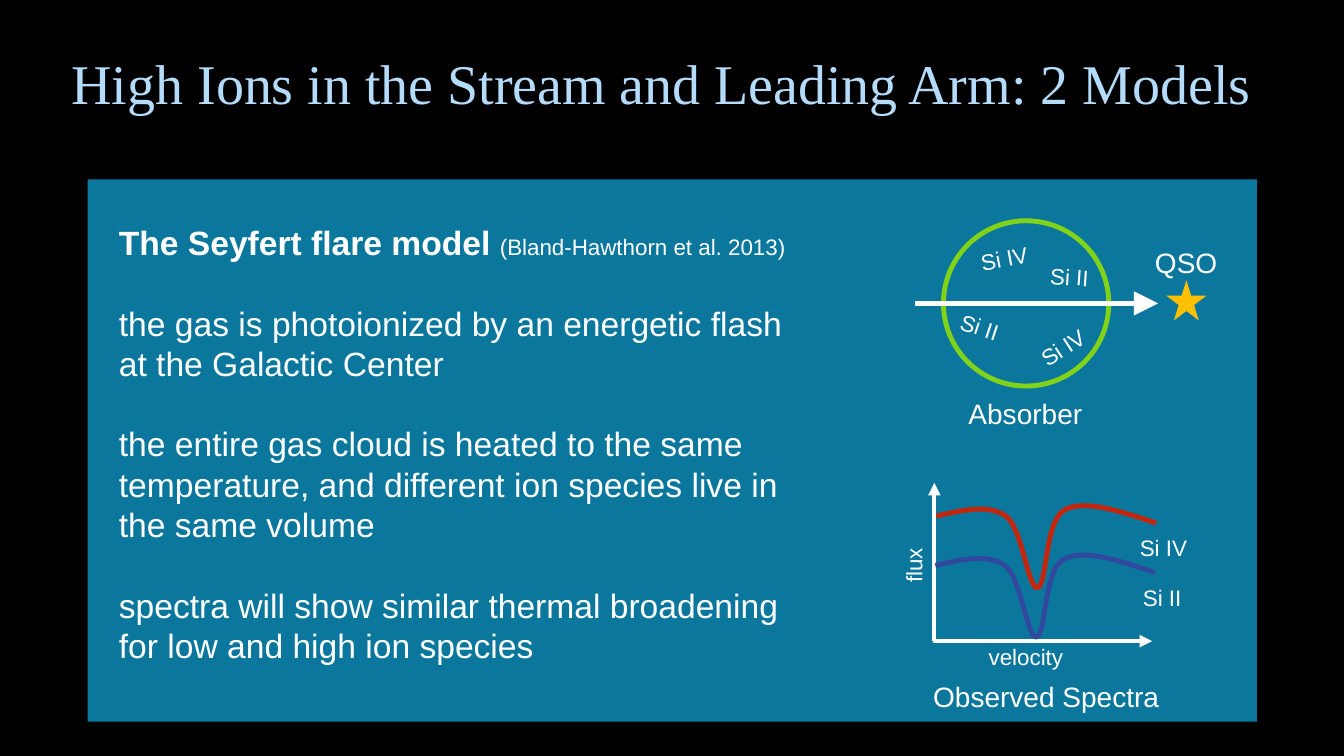
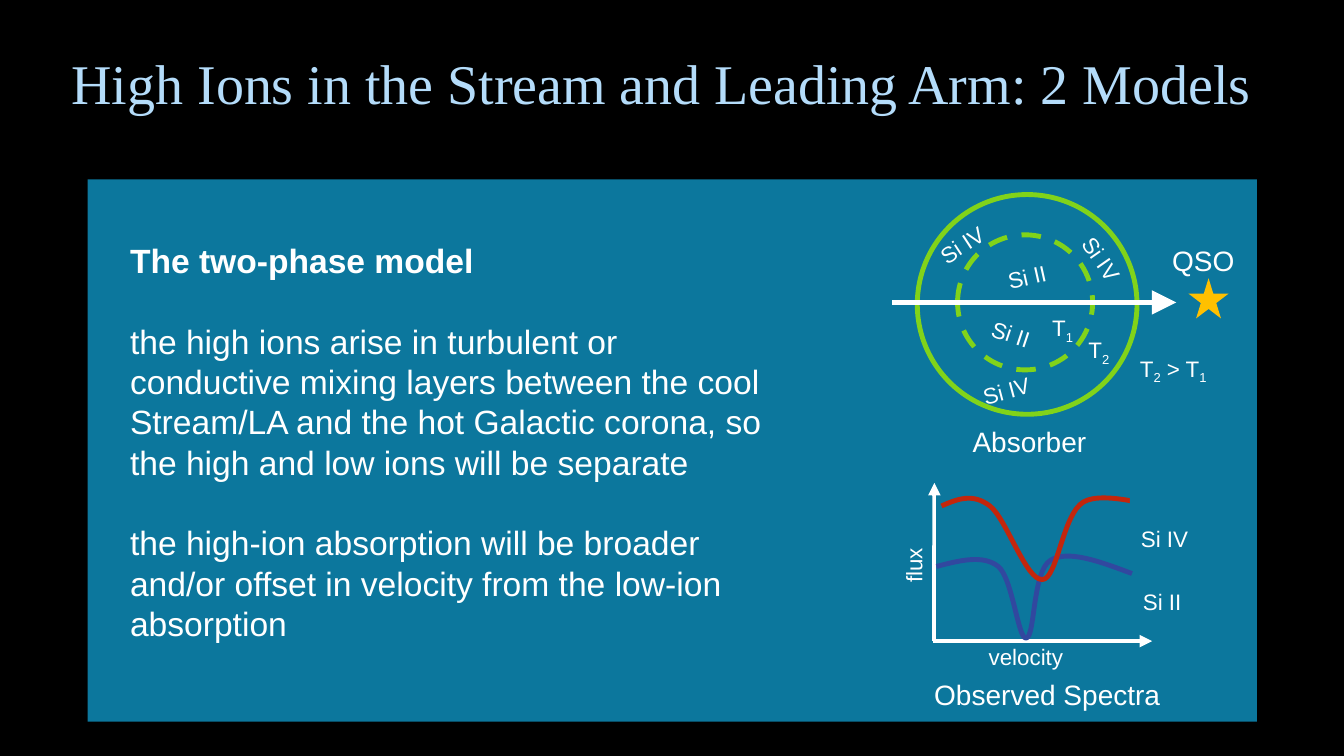
from itertools import groupby

from lxml import etree
from pptx import Presentation
from pptx.dml.color import RGBColor
from pptx.enum.dml import MSO_LINE
from pptx.enum.shapes import MSO_CONNECTOR, MSO_SHAPE
from pptx.enum.text import MSO_ANCHOR, MSO_AUTO_SIZE, PP_ALIGN
from pptx.oxml.ns import qn
from pptx.util import Inches, Pt

RECTANGLE, ELLIPSE, STAR = MSO_SHAPE.RECTANGLE, MSO_SHAPE.OVAL, MSO_SHAPE.STAR_5_POINT
STRAIGHT = MSO_CONNECTOR.STRAIGHT
DASH = MSO_LINE.DASH
TOP, MIDDLE = MSO_ANCHOR.TOP, MSO_ANCHOR.MIDDLE
LEFT = PP_ALIGN.LEFT
NO_AUTOFIT, FIT_SHAPE = MSO_AUTO_SIZE.NONE, MSO_AUTO_SIZE.SHAPE_TO_FIT_TEXT

BLACK = RGBColor(0x00, 0x00, 0x00)
WHITE = RGBColor(0xFF, 0xFF, 0xFF)
PANEL_BLUE = RGBColor(0x0C, 0x77, 0x9D)
TITLE_BLUE = RGBColor(0xB4, 0xDC, 0xFA)
GREEN = RGBColor(0x81, 0xD3, 0x1A)
GOLD = RGBColor(0xFF, 0xC0, 0x00)
LOW_ION_BLUE = RGBColor(0x31, 0x48, 0x9F)
HIGH_ION_RED = RGBColor(0xC3, 0x26, 0x0C)

presentation = Presentation()
presentation.slide_height = Inches(7.5)
presentation.slide_width = presentation.slide_height * 16 // 9
# All lengths below are grid steps: the slide is 75 rows high.
STEP = presentation.slide_height / 75

TITLE = "High Ions in the Stream and Leading Arm: 2 Models"
TITLE_BOX = (6.1, 5, 121.1, 8.1)
PANEL_BOX = (8.7, 17.8, 116, 53.8)
STAR_SIZE = 4
CURVE_WIDTH = Pt(3.5)
AXIS_WIDTH = Pt(3)
BODY_LINE = Pt(28.8)

LABEL_WIDTHS = {
    "Absorber": 13.4, "QSO": 8.2, "Observed Spectra": 24.6, "velocity": 10,
    "flux": 5.9, "Si II": 5.9, "Si IV": 6.8, "T1": 4.2, "T2": 4.2, "T2 > T1": 8.9,
}
LABEL_HEIGHTS = {16: 3.7, 20: 4.4}

# Bézier control points, relative to the start of each curve
NARROW_DIP = [
    (0, 0), (2.6, -0.6), (5.2, -1.2), (6.9, 0), (8.5, 1.2), (9.1, 7.2), (10, 7.1),
    (11, 7.1), (10.7, 0.5), (12.7, -0.6), (14.6, -1.7), (18.2, -0.5), (21.8, 0.7),
]
WIDE_DIP = [
    (0, 0), (1.6, -0.7), (3.1, -1.3), (4.8, 0), (6.4, 1.2), (8.4, 7.4), (10, 7.3),
    (11.5, 7.3), (12, 0.8), (14.1, -0.4), (16.1, -1.6), (22.1, 0.3), (22.1, 0.3),
]

AXES = [(92.7, 63.6, 92.7, 47.9), (92.6, 63.6, 114.3, 63.6)]
AXIS_LABELS = [("velocity", 97.1, 63.3, 16, 0), ("flux", 87.7, 54, 16, 270)]

MODELS = [
    {
        "heading": "The Seyfert flare model ",
        "citation": "(Bland-Hawthorn et al. 2013)",
        "points": [
            "the gas is photoionized by an energetic flash at the Galactic Center",
            "the entire gas cloud is heated to the same temperature, "
            "and different ion species live in the same volume",
            "spectra will show similar thermal broadening for low and high ion species",
        ],
        "body_box": (10.8, 21.5, 71.3, 45.4),
        "circles": [(93.6, 21.9, 16.4, None)],
        "sightline": (90.8, 30.1, 114.9, 30.1),
        "star": (115.7, 27.8),
        "curves": [(92.8, 56.1, 1, NARROW_DIP, LOW_ION_BLUE),
                   (92.9, 51.2, 1, NARROW_DIP, HIGH_ION_RED)],
        "plot_edges": [],
        "labels": [
            ("Absorber", 95.1, 38.8, 20, 0),
            ("Si II", 94.3, 30.6, 16, 18.4),
            ("Si IV", 102.1, 32.6, 16, 326.9),
            ("QSO", 113.6, 23.9, 20, 0),
            ("Si II", 103.2, 25.6, 16, 3.8),
            ("Si IV", 96.3, 23.8, 16, 349),
            ("Observed Spectra", 91.6, 66.9, 20, 0),
            ("Si II", 112.4, 57.5, 16, 0),
            ("Si IV", 112.1, 52.5, 16, 0),
        ],
    },
    {
        "heading": "The two-phase model",
        "citation": "",
        "points": [
            "the high ions arise in turbulent or conductive mixing layers between the cool "
            "Stream/LA and the hot Galactic corona, so the high and low ions will be separate",
            "the high-ion absorption will be broader and/or offset in velocity "
            "from the low-ion absorption",
        ],
        "body_box": (11.9, 23.3, 65.7, 41.4),
        "circles": [(95, 23.3, 13.4, DASH), (91, 19.3, 21.8, None)],
        "sightline": (88.5, 30, 116.7, 30),
        "star": (117.9, 27.6),
        "curves": [(92.9, 56.2, 0.89, NARROW_DIP, LOW_ION_BLUE),
                   (93.4, 50.2, 1, WIDE_DIP, HIGH_ION_RED)],
        "plot_edges": [(112.1, 46.5, 5.7, 4.9), (89.9, 49.2, 2.6, 4.9)],
        "labels": [
            ("Absorber", 95.5, 41.6, 20, 0),
            ("Si II", 97.4, 31.3, 16, 18.4),
            ("Si IV", 96.5, 36.9, 16, 345.1),
            ("QSO", 115.3, 23.7, 20, 0),
            ("Si II", 99, 25.6, 16, 347.3),
            ("Si IV", 92.1, 22.4, 16, 326.7),
            ("Si IV", 105.9, 23.9, 16, 55),
            ("T1", 103.4, 30.7, 16, 0),
            ("T2", 107, 32.9, 16, 0),
            ("T2 > T1", 112.1, 34.7, 16, 0),
            ("Observed Spectra", 91.7, 66.7, 20, 0),
            ("Si II", 112.4, 57.9, 16, 0),
            ("Si IV", 112.2, 51.6, 16, 0),
        ],
    },
]


def add_run(paragraph, text, size, color=WHITE, name="Arial", bold=False):
    run = paragraph.add_run()
    run.text = text
    for attribute, value in {"size": Pt(size), "name": name, "bold": bold}.items():
        setattr(run.font, attribute, value)
    run.font.color.rgb = color
    return run


def add_shape(slide, kind, box, fill=None, dash=None):
    """Add a filled shape without outline, or a green outline without fill."""
    shape = slide.shapes.add_shape(kind, *[round(length * STEP) for length in box])
    shape.shadow.inherit = False
    if fill:
        shape.fill.solid()
        shape.fill.fore_color.rgb = fill
        shape.line.fill.background()
    else:
        shape.fill.background()
        shape.line.color.rgb = GREEN
        shape.line.width = CURVE_WIDTH
        shape.line.dash_style = dash
    return shape


background = presentation.slide_master.background.fill
background.solid()
background.fore_color.rgb = BLACK

layout = presentation.slide_layouts[1]
layout_title = layout.placeholders[0]
for side, length in zip(("left", "top", "width", "height"), TITLE_BOX):
    setattr(layout_title, side, round(length * STEP))

for model in MODELS:
    slide = presentation.slides.add_slide(layout)
    panel = add_shape(slide, RECTANGLE, PANEL_BOX, PANEL_BLUE)
    slide.shapes._spTree.insert(2, panel._element)

    # Title
    title_frame = slide.shapes.title.text_frame
    title_frame.vertical_anchor = MIDDLE
    title_frame.margin_bottom = Inches(0.15)
    title_frame.auto_size = NO_AUTOFIT
    paragraph = title_frame.paragraphs[0]
    paragraph.alignment = LEFT
    paragraph.line_spacing = 0.9
    add_run(paragraph, TITLE, 40, TITLE_BLUE, "Times New Roman")

    # Description of the model
    body = slide.placeholders[1]
    for side, length in zip(("left", "top", "width", "height"), model["body_box"]):
        setattr(body, side, round(length * STEP))
    body_frame = body.text_frame
    body_frame.vertical_anchor = TOP
    body_frame.auto_size = NO_AUTOFIT
    for index, text in enumerate([model["heading"], *model["points"]]):
        paragraph = body_frame.add_paragraph() if index else body_frame.paragraphs[0]
        properties = paragraph._p.get_or_add_pPr()
        properties.set("marL", "0")
        properties.set("indent", "0")
        etree.SubElement(properties, qn("a:buNone"))
        paragraph.alignment = LEFT
        paragraph.line_spacing = BODY_LINE
        paragraph.space_before = BODY_LINE if index else 0
        add_run(paragraph, text, 24, bold=index == 0)
    if model["citation"]:
        add_run(body_frame.paragraphs[0], model["citation"], 16)

    # Absorber and quasar
    for left, top, size, dash in model["circles"]:
        add_shape(slide, ELLIPSE, (left, top, size, size), dash=dash)
    add_shape(slide, STAR, (*model["star"], STAR_SIZE, STAR_SIZE), GOLD)

    # Sightline and axes
    arrows = [(model["sightline"], CURVE_WIDTH, "lg")]
    arrows += [(axis, AXIS_WIDTH, "med") for axis in AXES]
    for ends, width, head_size in arrows:
        arrow = slide.shapes.add_connector(STRAIGHT, *[round(length * STEP) for length in ends])
        arrow.line.color.rgb = WHITE
        arrow.line.width = width
        arrow_properties = arrow._element.spPr
        etree.SubElement(arrow_properties.find(qn("a:ln")), qn("a:tailEnd"),
                         type="triangle", w=head_size, len=head_size)
        etree.SubElement(arrow_properties, qn("a:effectLst"))

    # Absorption profiles: every three segments become one Bézier curve
    for left, top, stretch, controls, color in model["curves"]:
        points = [(round((left + x * stretch) * STEP), round((top + y) * STEP))
                  for x, y in controls]
        builder = slide.shapes.build_freeform(*points[0])
        builder.add_line_segments(points[1:], close=False)
        curve = builder.convert_to_shape()
        segments = list(curve._element.iter(qn("a:lnTo")))
        outline = segments[0].getparent()
        for first in range(0, len(segments), 3):
            bezier = etree.SubElement(outline, qn("a:cubicBezTo"))
            for segment in segments[first:first + 3]:
                bezier.append(segment[0])
                outline.remove(segment)
        curve.shadow.inherit = False
        curve.fill.background()
        curve.line.color.rgb = color
        curve.line.width = CURVE_WIDTH

    for box in model["plot_edges"]:
        add_shape(slide, RECTANGLE, box, PANEL_BLUE)

    # Labels; their digits are subscripts
    for text, left, top, size, rotation in model["labels"] + AXIS_LABELS:
        box = (left, top, LABEL_WIDTHS[text], LABEL_HEIGHTS[size])
        label = slide.shapes.add_textbox(*[round(length * STEP) for length in box])
        label.rotation = rotation
        label.text_frame.word_wrap = False
        label.text_frame.auto_size = FIT_SHAPE
        paragraph = label.text_frame.paragraphs[0]
        paragraph.alignment = LEFT
        for is_subscript, characters in groupby(text, str.isdigit):
            run = add_run(paragraph, "".join(characters), size)
            if is_subscript:
                run._r.get_or_add_rPr().set("baseline", "-25000")

presentation.save("out.pptx")
